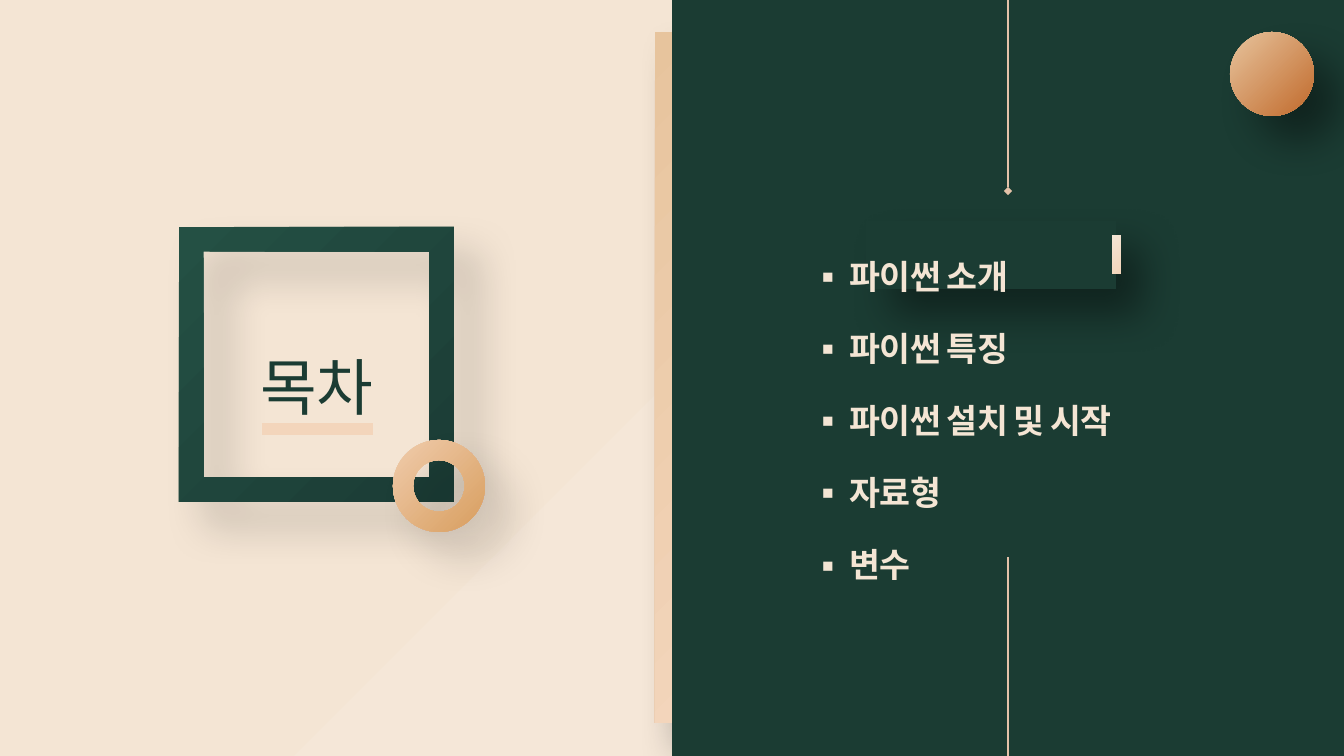
from dataclasses import dataclass

from lxml.etree import SubElement
from pptx import Presentation
from pptx.dml.color import RGBColor
from pptx.enum.shapes import MSO_CONNECTOR as Connector, MSO_SHAPE as Preset
from pptx.enum.text import MSO_ANCHOR as Anchor, MSO_AUTO_SIZE as AutoSize, PP_ALIGN as Align
from pptx.oxml.ns import qn
from pptx.util import Pt

SCALE = 12192000 / 1344  # EMU per px
LINEAR = None
FROM_TOP_LEFT = (0, 0, 100, 100)
FROM_BOTTOM_RIGHT = (100, 100, 0, 0)


@dataclass(frozen=True)
class Theme:
    font: str = "Noto Sans CJK KR"
    title_size: int = 44
    item_size: int = 24
    item_gap: float = 22.75
    tracking: int = -60
    green: str = "1B3C33"
    deep_green: str = "1B3C35"
    light_green: str = "245044"
    cream: str = "F4E5D4"
    pale_cream: str = "F5E7D8"
    peach: str = "F3D5BB"
    gold: str = "E7C49D"
    copper: str = "C16A2C"
    ring_light: str = "F0CCAC"
    ring_dark: str = "D89E5F"
    line: str = "E4C2A9"


THEME = Theme()
ITEMS = ["파이썬 소개", "파이썬 특징", "파이썬 설치 및 시작", "자료형", "변수"]


def px(value):
    return round(value * SCALE)


def add_xml(parent, tag, **attributes):
    return SubElement(parent, qn(tag), {key: str(value) for key, value in attributes.items()})


def set_gradient(fill, owner, colors, focus=LINEAR):
    """Fill the owner with two colours, at 45 degrees or radially from a corner."""
    fill.solid()
    solid = owner.find(qn("a:solidFill"))
    gradient = add_xml(owner, "a:gradFill", rotWithShape=1)
    owner.replace(solid, gradient)
    stops = add_xml(gradient, "a:gsLst")
    for position, color in zip((0, 100000), colors):
        add_xml(add_xml(stops, "a:gs", pos=position), "a:srgbClr", val=color)
    if focus is LINEAR:
        add_xml(gradient, "a:lin", ang=45 * 60000, scaled=0)
    else:
        circle = add_xml(gradient, "a:path", path="circle")
        sides = {side: percent * 1000 for side, percent in zip("ltrb", focus)}
        add_xml(circle, "a:fillToRect", **sides)


def add_panel(page, preset, bounds, colors, focus=LINEAR, shadow=0, adjust=None):
    """Add a gradient shape; shadow is its opacity in percent."""
    shape = page.shapes.add_shape(preset, *map(px, bounds))
    shape.shadow.inherit = False
    shape.line.fill.background()
    properties = shape.element.spPr
    set_gradient(shape.fill, properties, colors, focus)
    if adjust is not None:
        shape.adjustments[0] = adjust
    if shadow:
        outer = add_xml(properties.find(qn("a:effectLst")), "a:outerShdw", blurRad=Pt(30),
                        dist=Pt(26), dir=45 * 60000, algn="tl", rotWithShape=0)
        add_xml(add_xml(outer, "a:srgbClr", val="000000"), "a:alpha", val=shadow * 1000)
    return shape


def add_rule(page, start, end, color, width, tail=None):
    rule = page.shapes.add_connector(Connector.STRAIGHT, *map(px, start + end))
    rule.line.color.rgb = RGBColor.from_string(color)
    rule.line.width = Pt(width)
    if tail:
        add_xml(rule.line._get_or_add_ln(), "a:tailEnd", type=tail)
    add_xml(rule.element.spPr, "a:effectLst")


def add_span(para, text, size, color, bold=False):
    span = para.add_run()
    span.text = text
    font = span.font
    font.size, font.bold, font.name = Pt(size), bold, THEME.font
    font.color.rgb = RGBColor.from_string(color)
    properties = font._element
    properties.set("spc", str(THEME.tracking))
    add_xml(properties, "a:ea", typeface=THEME.font)


def place_title(page, text, bounds):
    title = page.shapes.title
    title.left, title.top, title.width, title.height = map(px, bounds)
    frame = title.text_frame
    frame.margin_left = frame.margin_right = frame.margin_top = frame.margin_bottom = 0
    frame.vertical_anchor = Anchor.MIDDLE
    frame.auto_size = AutoSize.NONE
    frame.word_wrap = True
    para = frame.paragraphs[0]
    para.alignment = Align.CENTER
    para.line_spacing = 1.2
    add_span(para, text, THEME.title_size, THEME.green)
    page.shapes._spTree.append(title.element)  # in front of the frame


def add_bullets(page, items, bounds):
    box = page.shapes.add_textbox(*map(px, bounds))
    frame = box.text_frame
    frame.word_wrap = True
    frame.vertical_anchor = Anchor.MIDDLE
    for index, item in enumerate(items):
        para = frame.add_paragraph() if index else frame.paragraphs[0]
        para.space_before = Pt(THEME.item_gap if index else 0)
        properties = para._p.get_or_add_pPr()
        properties.set("marL", str(px(38)))
        properties.set("indent", str(-px(38)))
        add_xml(properties, "a:buFont", typeface=THEME.font)
        add_xml(properties, "a:buChar", char="▪")
        add_span(para, item, THEME.item_size, THEME.cream, bold=True)


def main():
    deck = Presentation()
    deck.slide_width, deck.slide_height = px(1344), px(756)
    page = deck.slides.add_slide(deck.slide_layouts[5])

    # Background and the two halves
    fill = page.background.fill
    fill.solid()
    set_gradient(fill, page.element.find(".//" + qn("p:bgPr")),
                 (THEME.pale_cream, THEME.cream), FROM_BOTTOM_RIGHT)
    add_panel(page, Preset.RECTANGLE, (655, 32, 37, 691), (THEME.gold, THEME.peach), shadow=40)
    add_panel(page, Preset.RECTANGLE, (672, 0, 672, 756),
              (THEME.deep_green, THEME.green), FROM_BOTTOM_RIGHT)

    # Framed title
    add_panel(page, Preset.FRAME, (179, 227, 275, 275),
              (THEME.light_green, THEME.deep_green), shadow=17, adjust=0.09)
    add_panel(page, Preset.DONUT, (393, 440, 92, 92),
              (THEME.ring_light, THEME.ring_dark), shadow=17, adjust=0.22)
    place_title(page, "목차", (179, 347, 275, 62))
    add_rule(page, (262, 429), (373, 429), THEME.peach, 8)

    # Contents with the first item highlighted
    add_panel(page, Preset.RECTANGLE, (866, 221, 250, 68),
              (THEME.green, THEME.deep_green), shadow=40)
    add_panel(page, Preset.RECTANGLE, (1112, 235, 9, 39),
              (THEME.cream, THEME.peach), FROM_TOP_LEFT)
    add_bullets(page, ITEMS, (802, 75, 363, 690))

    # Ornaments
    add_panel(page, Preset.OVAL, (1230, 32, 84, 84), (THEME.gold, THEME.copper), shadow=40)
    add_rule(page, (1008, 0), (1008, 191), THEME.line, 0.75, tail="diamond")
    add_rule(page, (1008, 557), (1008, 756), THEME.line, 0.75)

    deck.save("out.pptx")


if __name__ == "__main__":
    main()
